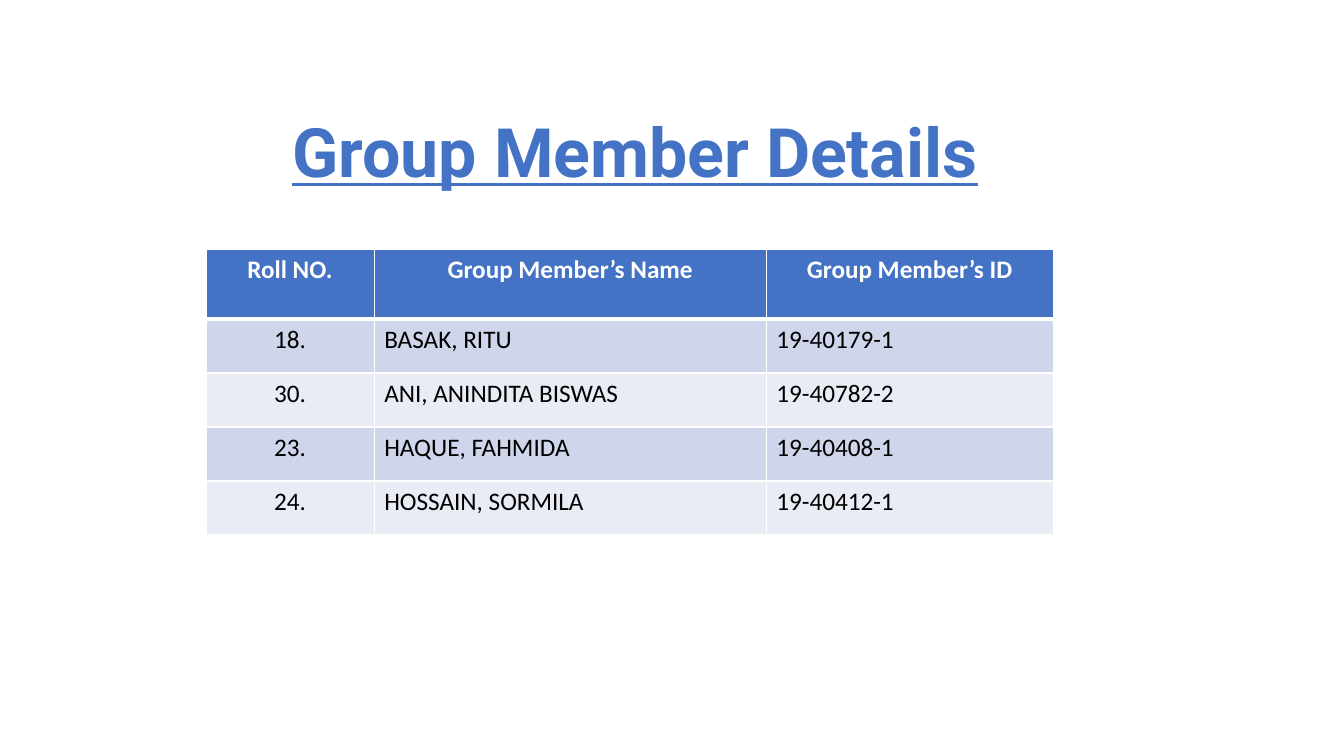
import pptx
import pptx.dml.color
import pptx.enum.text
import pptx.oxml
import pptx.oxml.ns
import pptx.util
from pptx.util import Cm

TITLE = "Group Member Details"
HEADINGS = ("Roll NO.", "Group Member’s Name", "Group Member’s ID")
MEMBERS = [
    ("18.", "BASAK, RITU", "19-40179-1"),
    ("30.", "ANI, ANINDITA BISWAS", "19-40782-2"),
    ("23.", "HAQUE, FAHMIDA", "19-40408-1"),
    ("24.", "HOSSAIN, SORMILA", "19-40412-1"),
]

THEME = {
    "accent": "4472C4",
    "bands": ("CFD5EA", "E9EBF5"),
    "rule": "FFFFFF",
    "title": {"name": "Roboto", "size": 48.6, "color": "4472C4", "bold": True, "underline": True},
    "heading": {"name": "Calibri", "size": 18, "color": "FFFFFF", "bold": True},
    "body": {"name": "Calibri", "size": 18, "color": "000000", "bold": False},
}

SLIDE_SIZE = (Cm(33.87), Cm(19.05))
TITLE_BOX = (Cm(1.4), Cm(2.5), Cm(29.21), Cm(2.6))
TABLE_LEFT, TABLE_TOP = Cm(5.19), Cm(6.28)
COLUMN_WIDTHS = (Cm(4.24), Cm(9.88), Cm(7.23))
HEADING_HEIGHT, MEMBER_HEIGHT = Cm(1.76), Cm(1.36)

ALIGN = pptx.enum.text.PP_ALIGN


def rgb(value):
    return pptx.dml.color.RGBColor.from_string(value)


def write(text_frame, text, style, alignment):
    paragraph = text_frame.paragraphs[0]
    paragraph.alignment = alignment
    run = paragraph.add_run()
    run.text = text
    run.font.color.rgb = rgb(style["color"])
    formats = {key: value for key, value in style.items() if key != "color"}
    formats["size"] = pptx.util.Pt(style["size"])
    for name, value in formats.items():
        setattr(run.font, name, value)


def add_borders(cell, widths):
    """Draw the cell's sides; widths maps L, R, T and B, in that order, to points."""
    properties = cell._tc.get_or_add_tcPr()
    for side, width in widths.items():
        properties.append(pptx.oxml.parse_xml(
            f'<a:ln{side} {pptx.oxml.ns.nsdecls("a")} w="{pptx.util.Pt(width)}">'
            f'<a:solidFill><a:srgbClr val="{THEME["rule"]}"/></a:solidFill></a:ln{side}>'))


def add_title(slide):
    text_frame = slide.shapes.add_textbox(*TITLE_BOX).text_frame
    text_frame.word_wrap = True
    text_frame.vertical_anchor = pptx.enum.text.MSO_ANCHOR.MIDDLE
    write(text_frame, TITLE, THEME["title"], ALIGN.CENTER)


def add_member_table(slide):
    rows = [HEADINGS, *MEMBERS]
    heights = [HEADING_HEIGHT] + [MEMBER_HEIGHT] * len(MEMBERS)
    table = slide.shapes.add_table(len(rows), len(HEADINGS), TABLE_LEFT, TABLE_TOP,
                                   sum(COLUMN_WIDTHS), sum(heights)).table
    for column, width in zip(table.columns, COLUMN_WIDTHS):
        column.width = width
    for row, height in zip(table.rows, heights):
        row.height = height
    for row_index, row in enumerate(rows):
        is_heading = row_index == 0
        fill = THEME["accent"] if is_heading else THEME["bands"][(row_index - 1) % 2]
        style = THEME["heading" if is_heading else "body"]
        borders = {"L": 1, "R": 1, "T": 3 if row_index == 1 else 1, "B": 3 if is_heading else 1}
        for column_index, text in enumerate(row):
            cell = table.cell(row_index, column_index)
            add_borders(cell, borders)
            cell.fill.solid()
            cell.fill.fore_color.rgb = rgb(fill)
            centred = is_heading or column_index == 0
            write(cell.text_frame, text, style, ALIGN.CENTER if centred else ALIGN.LEFT)


def main():
    presentation = pptx.Presentation()
    presentation.slide_width, presentation.slide_height = SLIDE_SIZE
    slide = presentation.slides.add_slide(presentation.slide_layouts[6])
    add_title(slide)
    add_member_table(slide)
    presentation.save("out.pptx")


if __name__ == "__main__":
    main()
